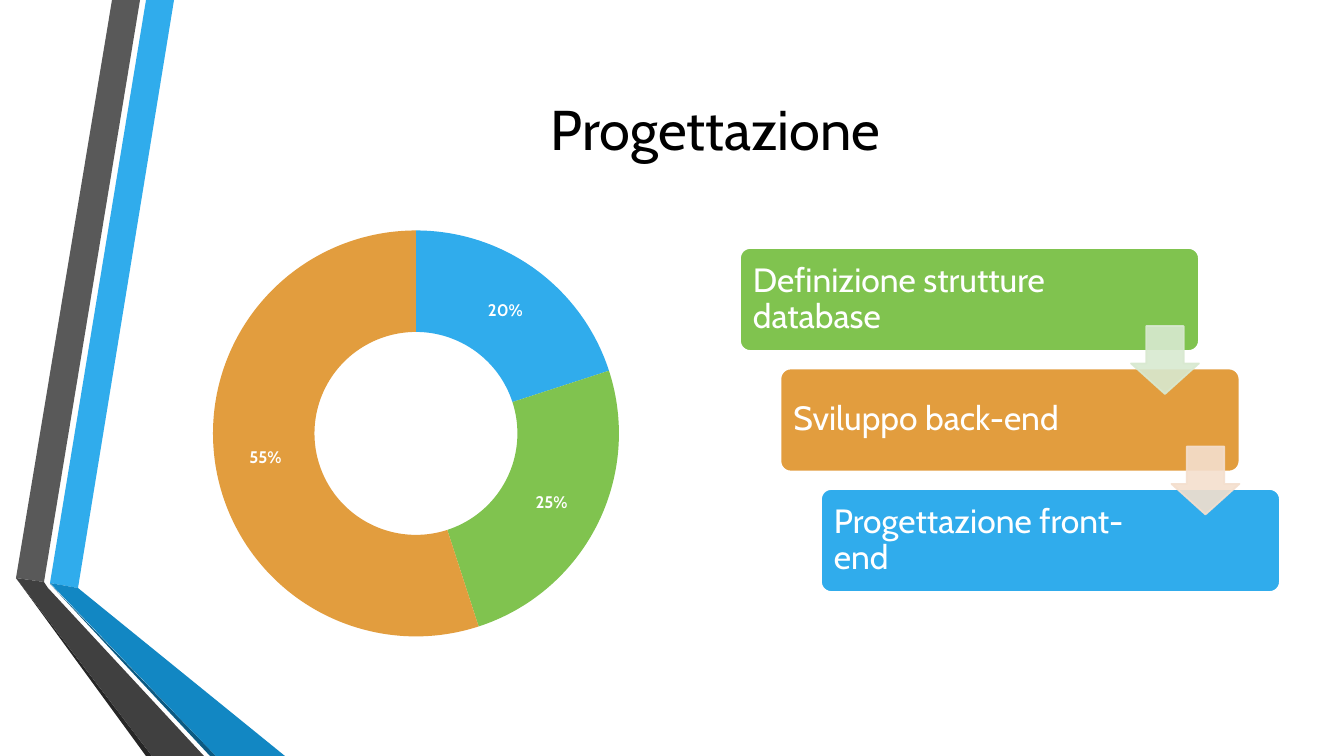
from dataclasses import dataclass

from lxml.etree import SubElement as Sub
from pptx import Presentation
from pptx.chart.data import CategoryChartData as Data
from pptx.dml.color import RGBColor as Rgb
from pptx.enum.chart import XL_CHART_TYPE as Kind
from pptx.enum.shapes import MSO_SHAPE as Form
from pptx.enum.text import MSO_ANCHOR as Anchor, PP_ALIGN as Align
from pptx.oxml.ns import qn
from pptx.util import Pt

PX = 914400 / 100.8


@dataclass(frozen=True)
class Theme:
    """Colours, font and type sizes."""
    font: str = "Cabin"
    black: str = "000000"
    white: str = "FFFFFF"
    blue: str = "30ACEC"
    green: str = "80C34F"
    gold: str = "E29D3E"
    mint: str = "D8E9D0"
    peach: str = "F4DFCE"
    grey: str = "595959"
    coal: str = "404040"
    soot: str = "262626"
    sea: str = "1287C3"
    navy: str = "0C5A82"
    title: int = 40
    body: int = 24
    label: int = 12
    edge: float = 1.25


LOOK = Theme()


def emu(*nums):
    """Turn pixels into EMU."""
    return [round(n * PX) for n in nums]


def paint(fill, tone, alpha=100):
    """Set a solid fill, with opacity in percent."""
    fill.solid()
    fill.fore_color.rgb = Rgb.from_string(tone)
    if alpha < 100:
        for clr in fill._xPr.iter(qn("a:srgbClr")):
            Sub(clr, qn("a:alpha"), val=str(alpha * 1000))


def style(font, size, tone, bold=False):
    """Set the type of a run or a label."""
    font.name, font.size, font.bold = LOOK.font, Pt(size), bold
    font.color.rgb = Rgb.from_string(tone)


def write(slide, box, text, size, tone, align=Align.LEFT, space=1.0):
    """Add wrapped text, centred in height."""
    frame = slide.shapes.add_textbox(*emu(*box)).text_frame
    frame.word_wrap = True
    frame.vertical_anchor = Anchor.MIDDLE
    frame.margin_left = frame.margin_right = emu(10)[0]
    frame.margin_top = frame.margin_bottom = emu(10)[0]
    para = frame.paragraphs[0]
    para.alignment, para.line_spacing = align, space
    run = para.add_run()
    run.text = text
    style(run.font, size, tone)


def block(slide, form, box, adjs, tone, edge, alpha=100):
    """Add a filled preset shape with an edge."""
    shape = slide.shapes.add_shape(form, *emu(*box))
    shape.shadow.inherit = False
    for i, adj in enumerate(adjs):
        shape.adjustments[i] = adj
    paint(shape.fill, tone, alpha)
    paint(shape.line.fill, edge, alpha)
    shape.line.width = Pt(LOOK.edge)


def ribbon(slide, box):
    """Draw the two folded bands on the left."""
    left, top, wide, high = box
    bands = [
        (LOOK.blue, [(34, 583), (62, 588), (158, 0), (130, 0)]),
        (LOOK.grey, [(124, 0), (96, 0), (0, 578), (28, 582)]),
        (LOOK.soot, [(0, 578), (130, high), (136, high)]),
        (LOOK.navy, [(34, 584), (194, high), (200, high)]),
        (LOOK.sea, [(34, 583), (200, high), (wide, high), (62, 588)]),
        (LOOK.coal, [(0, 578), (136, high), (188, high), (32, 588), (28, 582)]),
    ]
    for tone, dots in bands:
        pen = slide.shapes.build_freeform(*dots[0], scale=PX)
        pen.add_line_segments(dots[1:], close=True)
        shape = pen.convert_to_shape(*emu(left, top))
        shape.shadow.inherit = False
        paint(shape.fill, tone)
        shape.line.fill.background()


def ring(slide, box):
    """Add the doughnut of shares."""
    data = Data()
    data.categories = ["1", "2", "3"]
    data.add_series("Series 1", (20, 25, 55))
    chart = slide.shapes.add_chart(Kind.DOUGHNUT, *emu(*box), data).chart
    chart.has_legend = chart.has_title = False
    style(chart.font, 10, LOOK.black)
    plot = chart.plots[0]
    plot.vary_by_categories = True
    for i, tone in enumerate((LOOK.blue, LOOK.green, LOOK.gold)):
        part = plot.series[0].points[i].format
        paint(part.fill, tone)
        part.line.fill.background()
    plot.has_data_labels = True
    tags = plot.data_labels
    tags.show_percentage, tags.show_value = True, False
    tags.number_format, tags.number_format_is_linked = "0%", False
    style(tags.font, LOOK.label, LOOK.white, True)

    area = chart._chartSpace.chart.plotArea
    for hole in area.iter(qn("c:holeSize")):
        hole.set("val", "50")
    for old in area.findall(qn("c:layout")):
        area.remove(old)
    frame = Sub(area, qn("c:layout"))
    area.insert(0, frame)
    spot = Sub(frame, qn("c:manualLayout"))
    wide, high = box[2:]
    size = 406
    rules = dict(layoutTarget="inner", xMode="edge", yMode="edge",
                 x=(1 - size / wide) / 2, y=(1 - size / high) / 2,
                 w=size / wide, h=size / high)
    for name, val in rules.items():
        Sub(spot, qn("c:" + name), val=str(val))


def stairs(slide, box, steps, tips):
    """Lay the steps down the box, with an arrow between each two."""
    left, top, wide, high = box
    card, tall, tip = 459, 103, 68
    gaps = len(steps) - 1
    spots = [(left + i * (wide - card) / gaps, top + i * (high - tall) / gaps)
             for i in range(len(steps))]
    for (x, y), (text, tone) in zip(spots, steps):
        block(slide, Form.ROUNDED_RECTANGLE, (x, y, card, tall), [0.1],
              tone, LOOK.white)
        write(slide, (x + 3, y + 3, 346, tall - 6), text, LOOK.body,
              LOOK.white, space=0.9)
    for (x, y), tone in zip(spots, tips):
        block(slide, Form.DOWN_ARROW, (x + card - tip, y + 78, tip, tip),
              [0.55, 0.45], tone, tone, 90)


def build():
    """Make the slide and save it."""
    deck = Presentation()
    deck.slide_width, deck.slide_height = emu(1344, 756)
    slide = deck.slides.add_slide(deck.slide_layouts[6])
    ribbon(slide, (16, 0, 269, 756))
    write(slide, (163, 31, 1105, 194), "Progettazione", LOOK.title,
          LOOK.black, Align.CENTER)
    ring(slide, (113, 217, 606, 433))
    stairs(slide, (740, 248, 540, 344),
           [("Definizione strutture database", LOOK.green),
            ("Sviluppo back-end", LOOK.gold),
            ("Progettazione front-end", LOOK.blue)],
           [LOOK.mint, LOOK.peach])
    deck.save("out.pptx")


build()
